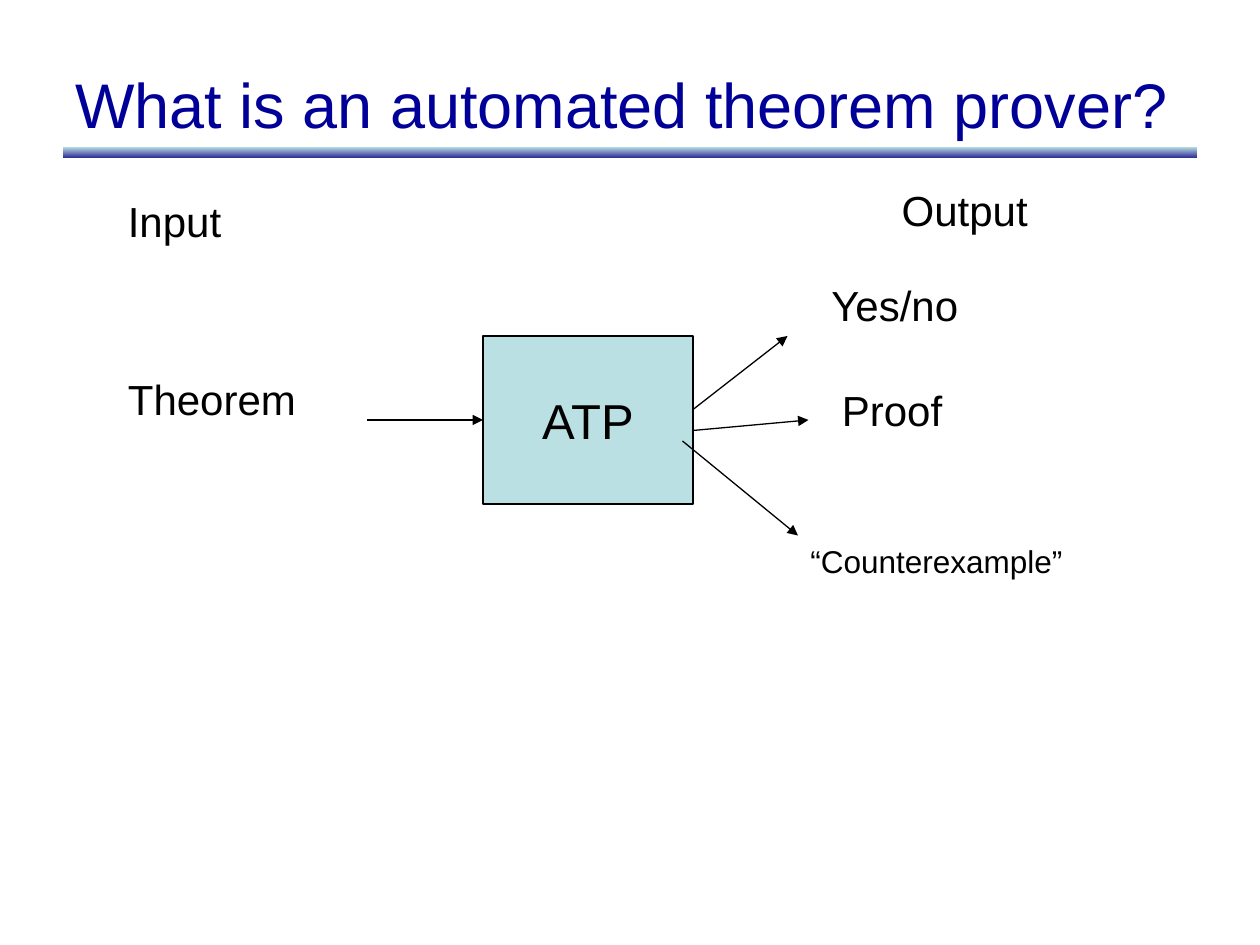
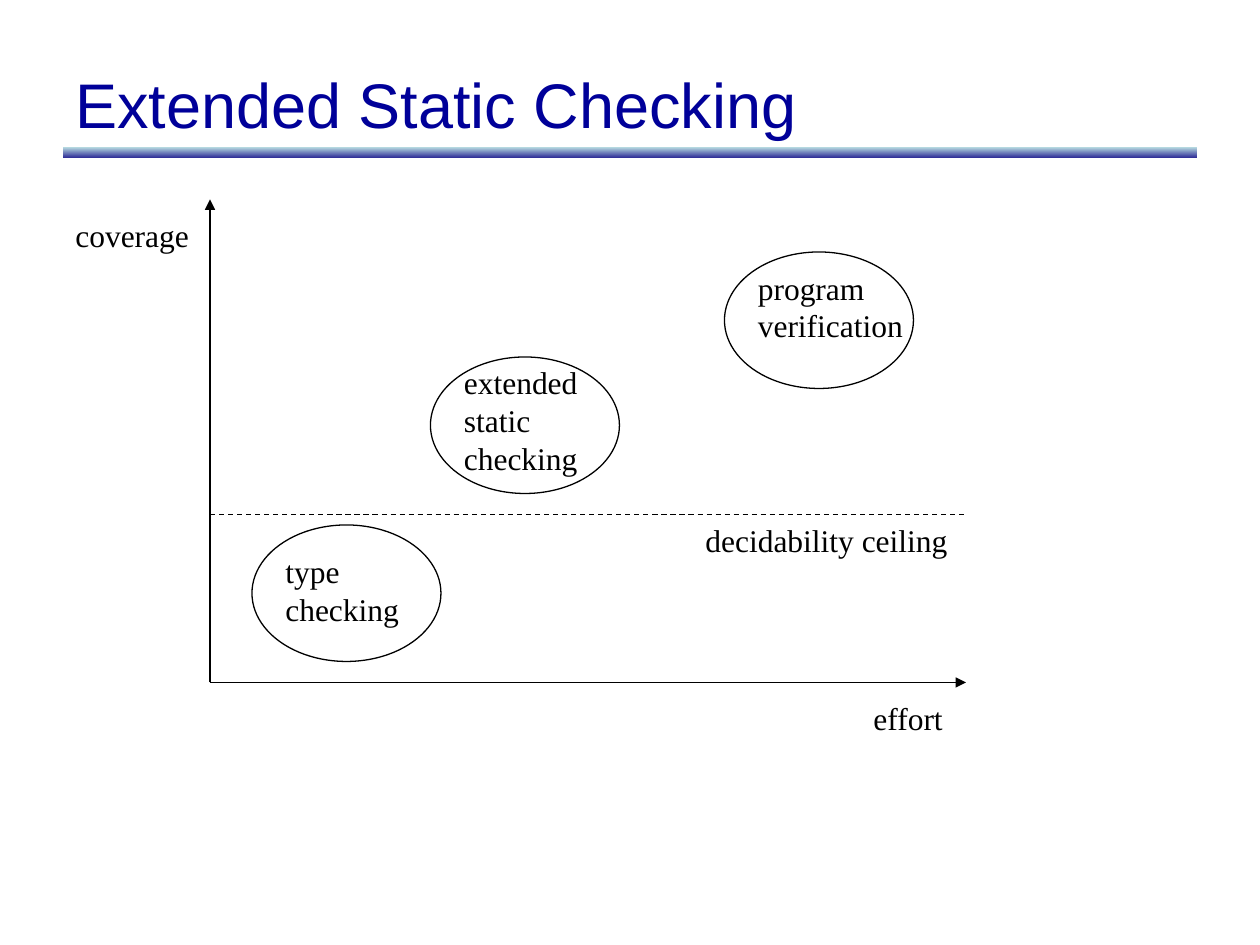
import collections

import lxml.etree
import pptx
import pptx.dml.color
import pptx.enum.dml
import pptx.enum.shapes
import pptx.enum.text
import pptx.oxml.ns
import pptx.util

SCALE = 7620  # EMU per px, 120 px to the inch
PAGE_WIDTH, PAGE_HEIGHT = 1200, 900

BLACK = pptx.dml.color.RGBColor(0x00, 0x00, 0x00)
TITLE_BLUE = pptx.dml.color.RGBColor(0x00, 0x00, 0x99)
PALE_TEAL = pptx.dml.color.RGBColor(0xBB, 0xE0, 0xE3)
INDIGO = pptx.dml.color.RGBColor(0x33, 0x33, 0x99)

SANS, SERIF = "Arial", "Times New Roman"
LINE_WIDTH = pptx.util.Pt(0.75)
SHAPES = pptx.enum.shapes.MSO_SHAPE
ANCHOR = pptx.enum.text.MSO_ANCHOR
ALIGN = pptx.enum.text.PP_ALIGN

Box = collections.namedtuple("Box", "left top width height")


def within(region, left, top, width, height):
    """Turn a box measured from the region's corner into a box on the page."""
    return Box(region.left + left, region.top + top, width, height)


def emu(lengths):
    return [pptx.util.Emu(length * SCALE) for length in lengths]


def write_text(frame, text, size=24, font=SANS, color=BLACK, align=ALIGN.LEFT,
               anchor=ANCHOR.TOP):
    """Fill a text frame, one paragraph for each line of the text."""
    frame.word_wrap = True
    frame.vertical_anchor = anchor
    for number, line in enumerate(text.split("\n")):
        para = frame.add_paragraph() if number else frame.paragraphs[0]
        para.alignment = align
        span = para.add_run()
        span.text = line
        span.font.size = pptx.util.Pt(size)
        span.font.name = font
        span.font.color.rgb = color


def add_text(page, box, text, **style):
    write_text(page.shapes.add_textbox(*emu(box)).text_frame, text, **style)


def add_shape(page, kind, box, outlined=True):
    """Add an unfilled preset shape."""
    shape = page.shapes.add_shape(kind, *emu(box))
    shape.shadow.inherit = False
    shape.fill.background()
    if outlined:
        shape.line.color.rgb = BLACK
        shape.line.width = LINE_WIDTH
    else:
        shape.line.fill.background()
    return shape


def add_line(page, region, start, end, arrow=True):
    """Join two points of the region by an arrow, or else by a dashed line."""
    points = [region.left + start[0], region.top + start[1],
              region.left + end[0], region.top + end[1]]
    line = page.shapes.add_connector(
        pptx.enum.shapes.MSO_CONNECTOR.STRAIGHT, *emu(points))
    line.line.color.rgb = BLACK
    line.line.width = LINE_WIDTH
    if arrow:
        lxml.etree.SubElement(line.line._get_or_add_ln(),
                              pptx.oxml.ns.qn("a:tailEnd"), type="triangle")
    else:
        line.line.dash_style = pptx.enum.dml.MSO_LINE.DASH
    lxml.etree.SubElement(line._element.spPr, pptx.oxml.ns.qn("a:effectLst"))


def add_header(page, region, title):
    band = add_shape(page, SHAPES.RECTANGLE,
                     within(region, 0, 104, region.width, 10), outlined=False)
    band.fill.gradient()
    band.fill.gradient_angle = 270
    for stop, position, color in zip(band.fill.gradient_stops, (0, 1),
                                     (PALE_TEAL, INDIGO)):
        stop.position = position
        stop.color.rgb = color
    add_text(page, region, title, size=36, color=TITLE_BLUE,
             anchor=ANCHOR.MIDDLE)


def add_prover_diagram(page, region):
    prover = add_shape(page, SHAPES.RECTANGLE,
                       within(region, 350, 150, 200, 160))
    prover.fill.solid()
    prover.fill.fore_color.rgb = PALE_TEAL
    write_text(prover.text_frame, "ATP", size=28, align=ALIGN.CENTER,
               anchor=ANCHOR.MIDDLE)
    for start, end in [((240, 230), (350, 230)), ((550, 220), (640, 150)),
                       ((550, 240), (660, 230)), ((540, 250), (650, 340))]:
        add_line(page, region, start, end)
    for text, left, top, width in [
            ("Input", 0, 10, 118), ("Theorem", 0, 180, 189),
            ("Output", 737, 0, 149), ("Yes/no", 670, 90, 154),
            ("Proof", 680, 190, 125)]:
        add_text(page, within(region, left, top, width, 60), text)
    add_text(page, within(region, 650, 340, 290, 48), "“Counterexample”",
             size=18)


def add_coverage_chart(page, region):
    """Sketch coverage against effort, with the axes inset for the labels."""
    origin = (140, 460)
    ceiling = 300
    add_line(page, region, origin, (origin[0], 0))
    add_line(page, region, origin, (region.width, origin[1]))
    add_line(page, region, (origin[0], ceiling), (region.width, ceiling),
             arrow=False)
    for text, left, top, width in [("coverage", 0, 10, 137),
                                   ("decidability ceiling", 600, ceiling, 260),
                                   ("effort", 760, 470, 95)]:
        add_text(page, within(region, left, top, width, 48), text,
                 size=18, font=SERIF)
    for text, left, top, inset in [
            ("type\nchecking", 180, 310, 20),
            ("extended\nstatic\nchecking", 350, 150, 0),
            ("program\nverification", 630, 50, 10)]:
        oval = within(region, left, top, 180, 130)
        add_shape(page, SHAPES.OVAL, oval)
        text_height = 12 + 36 * len(text.split("\n"))
        add_text(page, within(oval, 20, inset, 170, text_height), text,
                 size=18, font=SERIF)


def main():
    deck = pptx.Presentation()
    deck.slide_width, deck.slide_height = emu((PAGE_WIDTH, PAGE_HEIGHT))
    header = Box(60, 36, 1080, 124)
    for title, add_body, region in [
            ("What is an automated theorem prover?", add_prover_diagram,
             Box(110, 170, 940, 388)),
            ("Extended Static Checking", add_coverage_chart,
             Box(60, 190, 860, 518))]:
        page = deck.slides.add_slide(deck.slide_layouts[6])
        add_header(page, header, title)
        add_body(page, region)
    deck.save("out.pptx")


if __name__ == "__main__":
    main()
